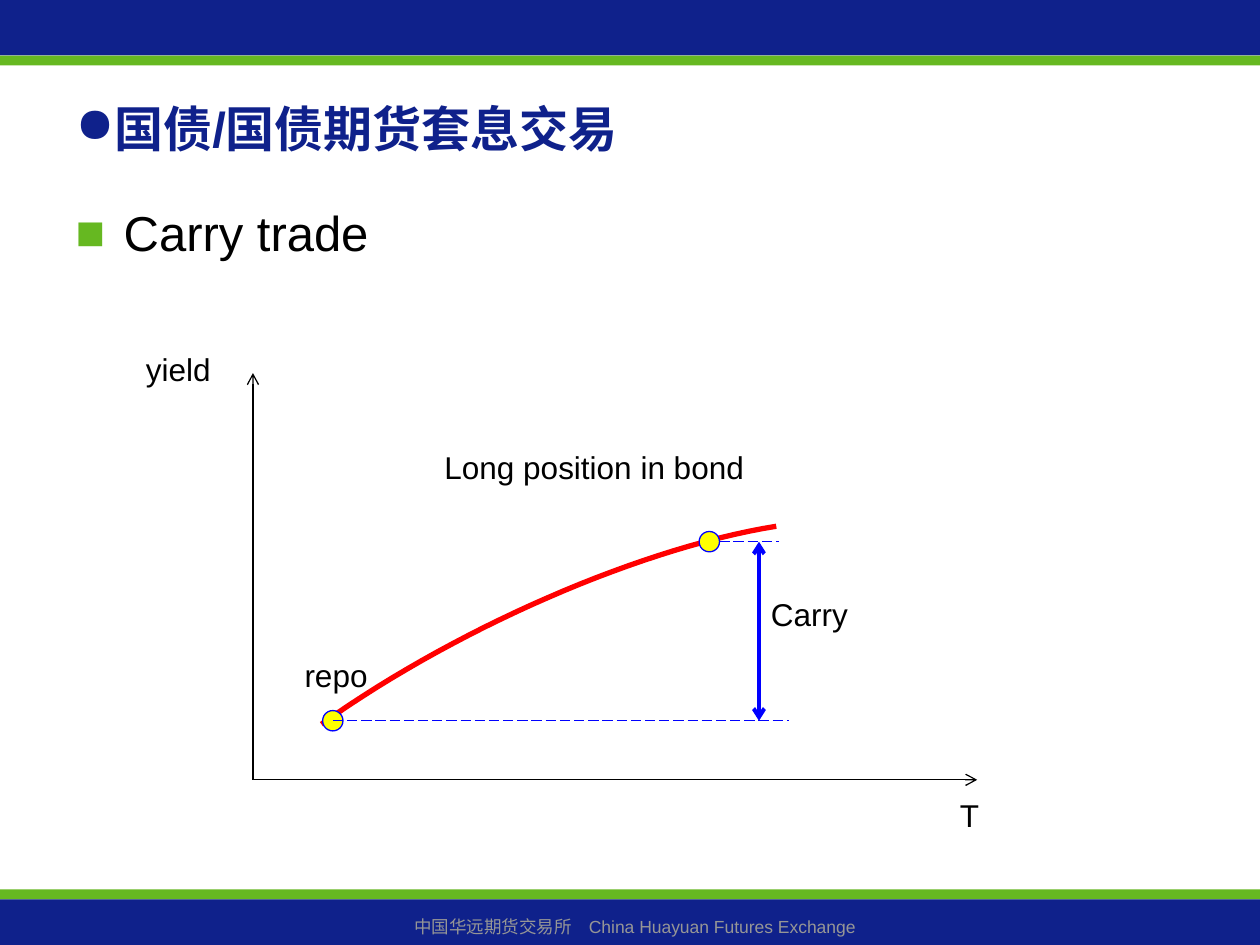
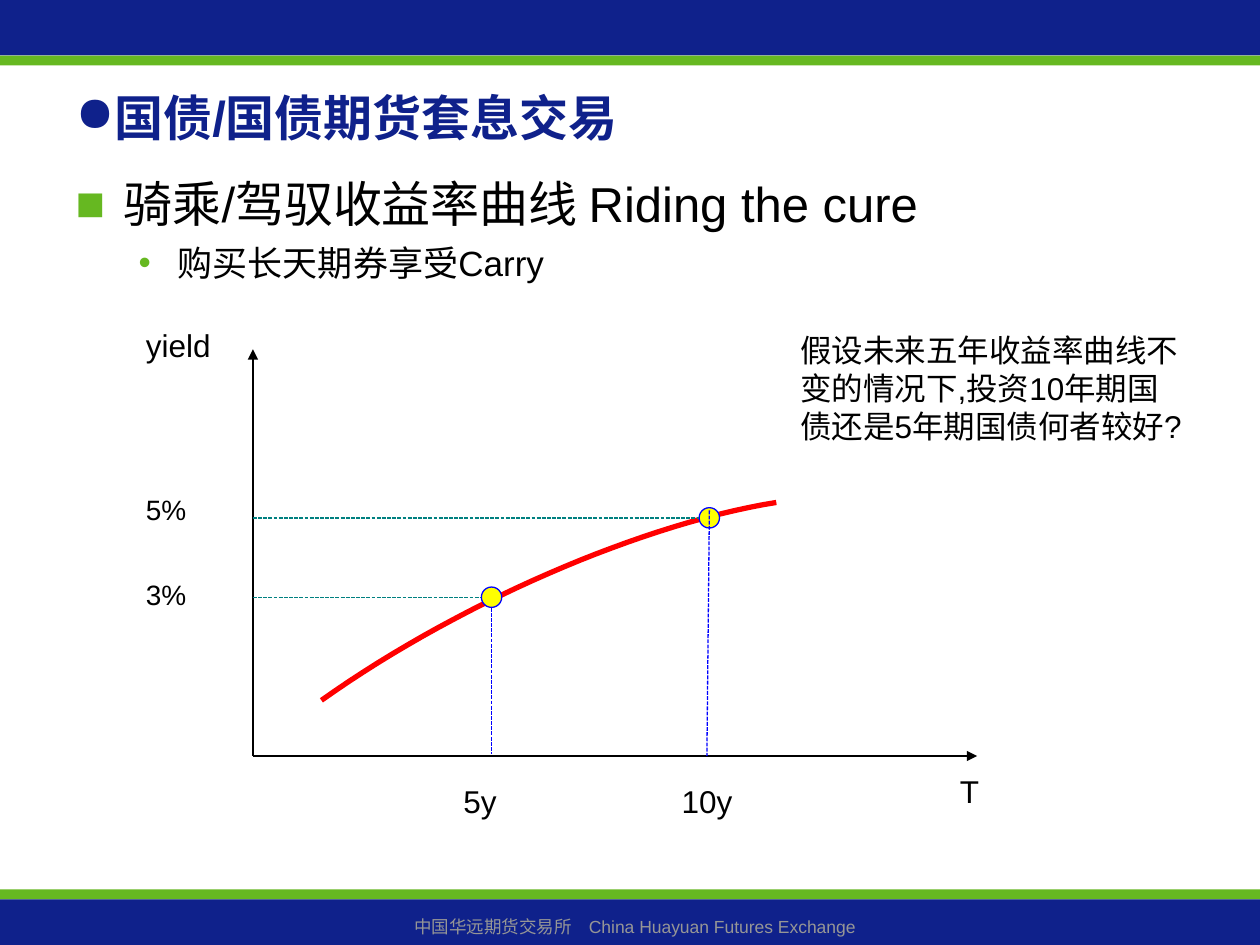
from lxml import etree
from pptx import Presentation
from pptx.dml.color import RGBColor
from pptx.enum.dml import MSO_LINE
from pptx.enum.lang import MSO_LANGUAGE_ID
from pptx.enum.shapes import MSO_CONNECTOR, MSO_SHAPE
from pptx.enum.text import MSO_ANCHOR, MSO_AUTO_SIZE, PP_ALIGN
from pptx.oxml.ns import qn
from pptx.util import Cm, Pt

RECT = MSO_SHAPE.RECTANGLE
DOT = MSO_SHAPE.FLOWCHART_CONNECTOR
STRAIGHT = MSO_CONNECTOR.STRAIGHT
LONG_DASH = MSO_LINE.LONG_DASH
SHORT_DASH = MSO_LINE.SQUARE_DOT
MIDDLE, TOP = MSO_ANCHOR.MIDDLE, MSO_ANCHOR.TOP
LEFT, CENTER = PP_ALIGN.LEFT, PP_ALIGN.CENTER
NO_FIT = MSO_AUTO_SIZE.NONE
CHINESE = MSO_LANGUAGE_ID.SIMPLIFIED_CHINESE

COLORS = {
    "navy": "0F218B", "green": "66B821", "gray": "969696", "black": "000000",
    "red": "FF0000", "yellow": "FFFF00", "blue": "0000FF", "teal": "008080",
}
BANDS = [(0, 1.12, "navy"), (17.93, 0.2, "green"), (1.12, 0.2, "green"), (18.13, 0.92, "navy")]
FOOTER = "中国华远期货交易所　China Huayuan Futures Exchange"
TITLE = "国债/国债期货套息交易"
LEVELS = [
    dict(size=28, margin=0.97, indent=-0.97, before=0, char="■"),
    dict(size=20, margin=2.06, indent=-0.79, before=5, char="•"),
]
AXIS_X = 5.1
CURVE = [(6.48, -1.12), (9.19, -3.05), (12.9, -4.67), (15.65, -5.11)]
CURVE_STEPS = 30
DOT_SIZE = 0.41
LONG_BOND = (14.3, -4.8)
REPO = (6.71, -1.19)
FIVE_YEAR = (9.91, -3.2)


def color(name):
    return RGBColor.from_string(COLORS[name])


def bezier(t):
    weights = [(1 - t) ** 3, 3 * t * (1 - t) ** 2, 3 * t ** 2 * (1 - t), t ** 3]
    return tuple(sum(w * c for w, c in zip(weights, axis)) for axis in zip(*CURVE))


class Deck:
    def __init__(self):
        self.prs = Presentation()
        self.prs.slide_width, self.prs.slide_height = Cm(25.4), Cm(19.05)

    def new_slide(self, title_top, body_top, items, base):
        self.s = self.prs.slides.add_slide(self.prs.slide_layouts[1])
        self.base = 0
        for top, height, fill in BANDS:
            self.shape(RECT, 0, top, 25.4, height, fill)
        self.text(FOOTER, 0.2, 18.34, 25.2, 0.69, 10, "gray", CENTER)
        self.title(title_top)
        self.body(body_top, items)
        self.base = base

    def styled_run(self, p, text, size, fill="black", bold=False):
        r = p.add_run()
        r.text = text
        r.font.color.rgb = color(fill)
        values = dict(name="Arial", size=Pt(size), bold=bold, language_id=CHINESE)
        for key, value in values.items():
            setattr(r.font, key, value)

    def bullet(self, p, char, fill, margin=0, indent=0):
        pPr = p._p.get_or_add_pPr()
        pPr.set("marL", str(Cm(margin)))
        pPr.set("indent", str(Cm(indent)))
        clr = etree.SubElement(pPr, qn("a:buClr"))
        etree.SubElement(clr, qn("a:srgbClr"), val=COLORS[fill])
        etree.SubElement(pPr, qn("a:buChar"), char=char)

    def place(self, sp, left, top, width, height, anchor):
        values = dict(left=left, top=top, width=width, height=height)
        for key, value in values.items():
            setattr(sp, key, Cm(value))
        tf = sp.text_frame
        for key, value in dict(word_wrap=True, auto_size=NO_FIT, vertical_anchor=anchor).items():
            setattr(tf, key, value)
        return tf

    def title(self, top):
        tf = self.place(self.s.shapes.title, 1.27, top, 22.86, 3.18, MIDDLE)
        p = tf.paragraphs[0]
        self.bullet(p, "●", "navy")
        p.alignment = LEFT
        self.styled_run(p, TITLE, 28, "navy", True)

    def body(self, top, items):
        tf = self.place(self.s.placeholders[1], 1.27, top, 22.83, 12.57, TOP)
        for level, text in enumerate(items):
            style = LEVELS[level]
            p = tf.add_paragraph() if level else tf.paragraphs[0]
            self.bullet(p, style["char"], "green", style["margin"], style["indent"])
            p.level = level
            p.space_before = Pt(style["before"])
            self.styled_run(p, text, style["size"])

    def text(self, text, left, top, width, height=1.02, size=18, fill="black", align=LEFT):
        sp = self.s.shapes.add_textbox(0, 0, 0, 0)
        tf = self.place(sp, left, self.base + top, width, height, TOP)
        p = tf.paragraphs[0]
        p.alignment = align
        self.styled_run(p, text, size, fill)

    def shape(self, kind, left, top, width, height, fill, line=None):
        sp = self.s.shapes.add_shape(kind, Cm(left), Cm(self.base + top), Cm(width), Cm(height))
        sp.shadow.inherit = False
        sp.fill.solid()
        sp.fill.fore_color.rgb = color(fill)
        if line:
            sp.line.color.rgb = color(line)
            sp.line.width = Pt(0.75)
        else:
            sp.line.fill.background()

    def dot(self, center):
        x, y = center
        half = DOT_SIZE / 2
        self.shape(DOT, x - half, y - half, DOT_SIZE, DOT_SIZE, "yellow", "blue")

    def line(self, start, end, fill, width=0.75, dash=None, head=None, tail=None):
        (x1, y1), (x2, y2) = start, end
        c = self.s.shapes.add_connector(
            STRAIGHT, Cm(x1), Cm(self.base + y1), Cm(x2), Cm(self.base + y2))
        c.line.color.rgb = color(fill)
        c.line.width = Pt(width)
        if dash:
            c.line.dash_style = dash
        spPr = c._element.spPr
        ln = spPr.find(qn("a:ln"))
        for tag, kind in (("a:headEnd", head), ("a:tailEnd", tail)):
            if kind:
                etree.SubElement(ln, qn(tag), type=kind)
        etree.SubElement(spPr, qn("a:effectLst"))

    def yield_curve(self):
        points = [(Cm(x), Cm(self.base + y))
                  for x, y in (bezier(i / CURVE_STEPS) for i in range(CURVE_STEPS + 1))]
        builder = self.s.shapes.build_freeform(*points[0])
        builder.add_line_segments(points[1:], close=False)
        sp = builder.convert_to_shape()
        sp.shadow.inherit = False
        sp.fill.background()
        sp.line.color.rgb = color("red")
        sp.line.width = Pt(3)

    def yield_chart(self, arrow, dots):
        for end in ((19.7, 0), (AXIS_X, -8.2)):
            self.line((AXIS_X, 0), end, "black", tail=arrow)
        self.text("yield", 2.69, -8.79, 2.21)
        self.text("T", 19.1, 0.2, 1.19)
        self.yield_curve()
        for center in dots:
            self.dot(center)


def carry_slide(deck):
    deck.new_slide(0.99, 3.96, ["Carry trade"], 15.72)
    deck.yield_chart("arrow", [LONG_BOND, REPO])
    deck.text("repo", 5.89, -2.62, 1.8)
    deck.text("Long position in bond", 8.71, -6.81, 6.6)
    deck.line(REPO, (15.9, REPO[1]), "blue", dash=LONG_DASH)
    deck.line((14.5, LONG_BOND[1]), (15.7, LONG_BOND[1]), "blue", dash=LONG_DASH)
    deck.line((15.3, LONG_BOND[1]), (15.3, REPO[1]), "blue", 2.25, head="arrow", tail="arrow")
    deck.text("Carry", 15.29, -3.84, 2.39)


def riding_slide(deck):
    items = ["骑乘/驾驭收益率曲线 Riding the cure", "购买长天期券享受Carry"]
    deck.new_slide(0.76, 3.38, items, 15.24)
    deck.yield_chart("triangle", [LONG_BOND, FIVE_YEAR])
    deck.line((14.3, -4.95), (14.25, 0), "blue", dash=SHORT_DASH)
    deck.line((FIVE_YEAR[0], -2.99), (FIVE_YEAR[0], -0.05), "blue", dash=SHORT_DASH)
    for x, y in (LONG_BOND, FIVE_YEAR):
        deck.line((AXIS_X, y), (x - DOT_SIZE / 2, y), "teal", dash=SHORT_DASH)
    deck.text("10y", 13.49, 0.41, 1.8)
    deck.text("5y", 9.09, 0.41, 1.4)
    for label, top in (("5%", -5.44), ("3%", -3.73)):
        deck.text(label, 2.69, top, 2, 0.94, 16)
    deck.text("假设未来五年收益率曲线不变的情况下,投资10年期国债还是5年期国债何者较好?",
              15.88, -8.69, 8.33, 3.3)


def main():
    deck = Deck()
    carry_slide(deck)
    riding_slide(deck)
    deck.prs.save("out.pptx")


if __name__ == "__main__":
    main()
